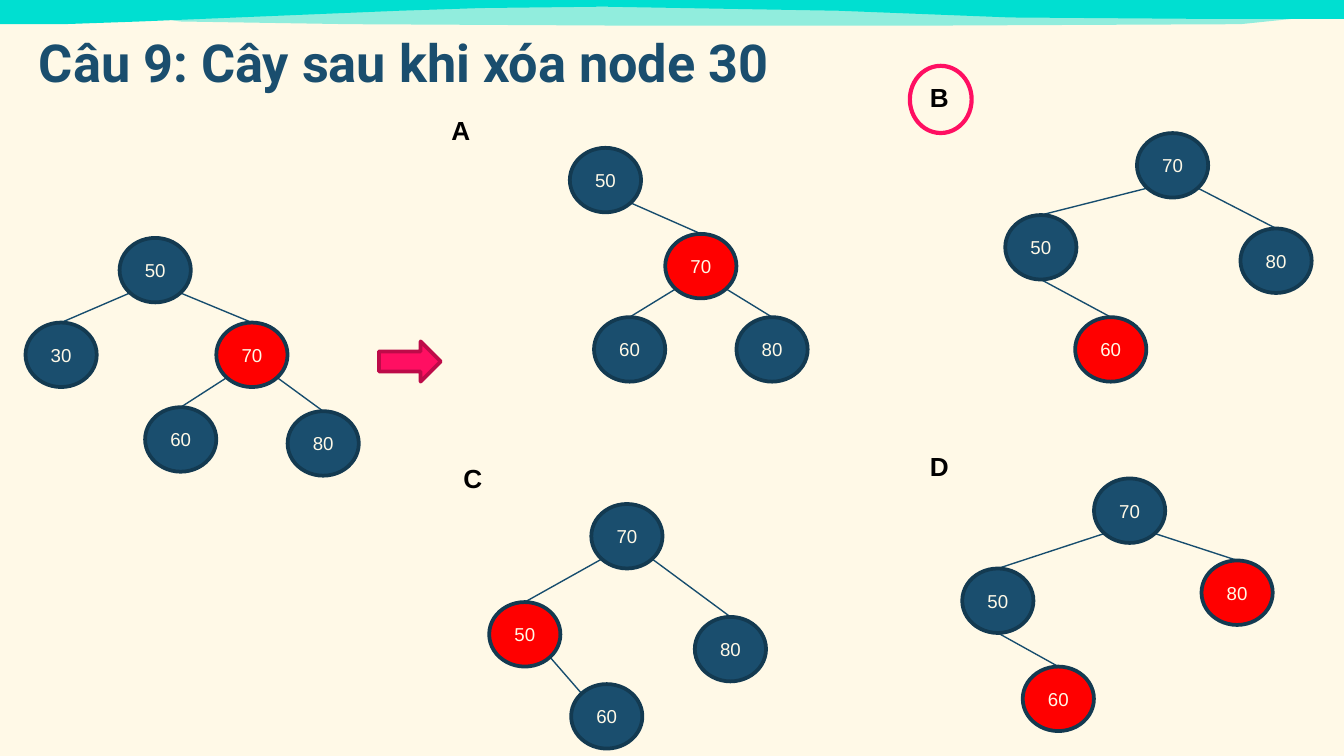
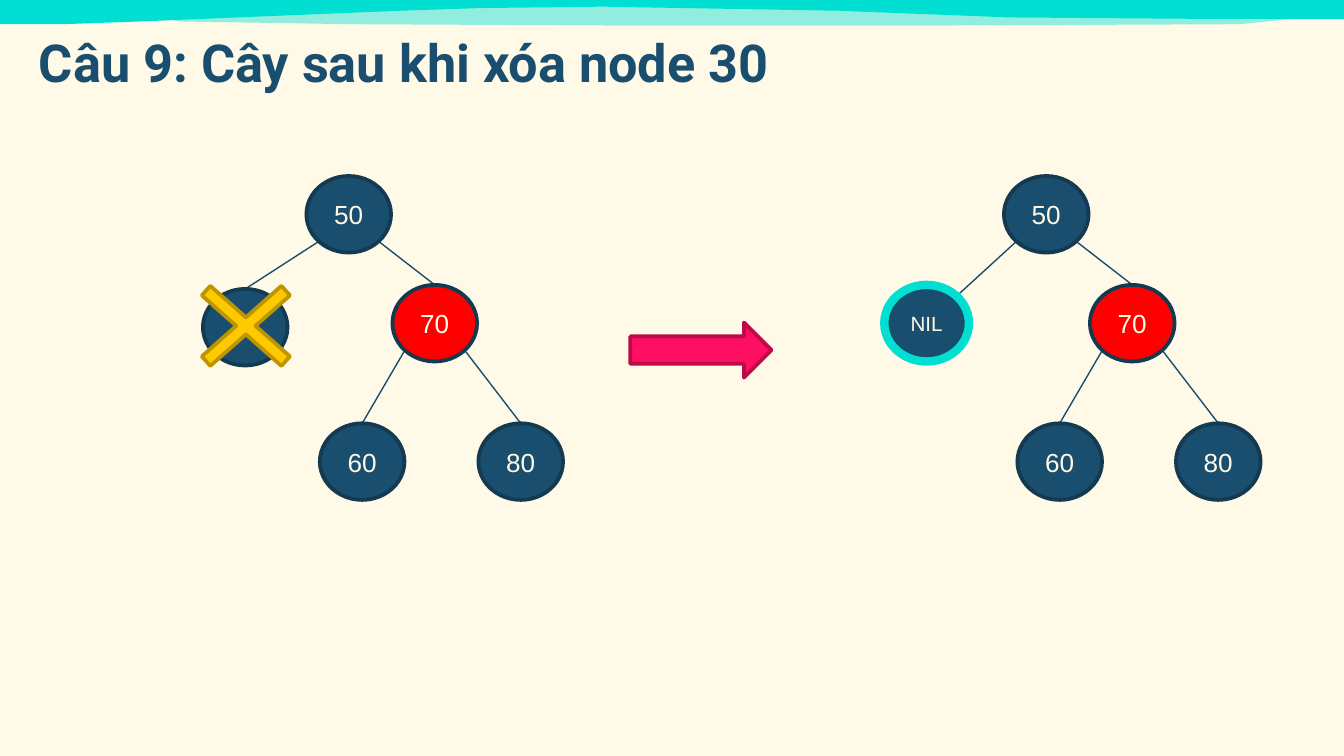
from dataclasses import dataclass
from math import sqrt

from lxml.etree import SubElement
from pptx import Presentation
from pptx.dml.color import RGBColor
from pptx.enum.shapes import MSO_CONNECTOR as Connector, MSO_SHAPE as Shape
from pptx.enum.text import MSO_ANCHOR as Anchor, MSO_AUTO_SIZE as AutoSize, PP_ALIGN as Align
from pptx.oxml.ns import qn
from pptx.util import Inches, Pt

COLORS = {
    "cream": "FFF9E7", "turquoise": "00DFD1", "navy": "1A4E6E", "outline": "133A51",
    "edge": "174D6E", "red": "FF0000", "pink": "FF0F62", "dark pink": "BD0B49",
    "yellow": "FFC900", "dark yellow": "BD9500", "black": "000000",
}
TITLE = "Câu 9: Cây sau khi xóa node 30"
WAVE = [(0, 0.18), (0.47, 0.18), (1.04, 0.16), (2.97, 0.08), (3.58, 0.06), (4.49, 0.05),
        (6.24, 0.08), (7.52, 0.13), (8.86, 0.14), (10, 0.14), (10, 0), (0, 0)]
PALE_WAVE = [(0.98, 0.04), (9.93, 0.06), (9.81, 0.12), (9.23, 0.18), (7, 0.19),
             (4.58, 0.19), (2.6, 0.18), (1.34, 0.16), (1.05, 0.11)]
DIAGONAL = sqrt(0.5)
SITES = {
    "top": (0, -1), "bottom": (0, 1), "top left": (-DIAGONAL, -DIAGONAL),
    "top right": (DIAGONAL, -DIAGONAL), "bottom left": (-DIAGONAL, DIAGONAL),
    "bottom right": (DIAGONAL, DIAGONAL),
}


@dataclass
class Node:
    """A tree node, its place and the way its edge meets its parent."""
    label: str
    left: float
    top: float
    parent: str = ""
    red: bool = False
    start: str = ""
    end: str = "top"
    line: str = "outline"
    line_width: float = 2
    size: int = 0


@dataclass
class NodeStyle:
    """The size of the nodes of a tree and of their labels."""
    width: float
    height: float
    font_size: int


SMALL = NodeStyle(0.53, 0.48, 10)
LARGE = NodeStyle(0.63, 0.57, 14)

QUESTION_TREES = [
    [Node("50", 0.89, 1.77), Node("30", 0.19, 2.4, "50"), Node("70", 1.61, 2.4, "50", True),
     Node("60", 1.08, 3.03, "70"), Node("80", 2.14, 3.06, "70")],
    [Node("50", 4.24, 1.1), Node("70", 4.95, 1.74, "50", True),
     Node("60", 4.42, 2.36, "70"), Node("80", 5.48, 2.36, "70")],
    [Node("70", 8.46, 0.99), Node("50", 7.48, 1.6, "70"), Node("80", 9.23, 1.7, "70"),
     Node("60", 8, 2.36, "50", True, start="bottom")],
    [Node("70", 4.4, 3.75), Node("50", 3.64, 4.48, "70", True), Node("80", 5.17, 4.59, "70"),
     Node("60", 4.25, 5.09, "50", end="top left")],
    [Node("70", 8.14, 3.56), Node("50", 7.16, 4.23, "70"), Node("80", 8.94, 4.17, "70", True),
     Node("60", 7.61, 4.96, "50", True, start="bottom")],
]
OPTIONS = [("A", 3.26, 0.8, 0.38), ("B", 6.82, 0.56, 0.46),
           ("C", 3.35, 3.39, 0.46), ("D", 6.82, 3.3, 0.42)]


def rgb(name):
    """Return the named colour."""
    return RGBColor.from_string(COLORS[name])


def write_text(shape, text, *, size, color, font="Arial", bold=False, align=Align.LEFT,
               anchor=Anchor.TOP, wrap=True):
    """Put one formatted paragraph into a shape."""
    frame = shape.text_frame
    frame.word_wrap = wrap
    frame.vertical_anchor = anchor
    paragraph = frame.paragraphs[0]
    paragraph.alignment = align
    run = paragraph.add_run()
    run.text = text
    run.font.size = Pt(size)
    run.font.name = font
    run.font.bold = bold
    run.font.color.rgb = rgb(color)


def add_figure(slide, kind, left, top, width, height, *, fill=None, line, line_width=2):
    """Add a preset shape with flat fill and outline."""
    shape = slide.shapes.add_shape(kind, Inches(left), Inches(top), Inches(width), Inches(height))
    shape.shadow.inherit = False
    if fill:
        shape.fill.solid()
        shape.fill.fore_color.rgb = rgb(fill)
    else:
        shape.fill.background()
    shape.line.color.rgb = rgb(line)
    shape.line.width = Pt(line_width)
    return shape


def add_edge(slide, start, end):
    """Add a thin line between two points."""
    points = [Inches(value) for value in (*start, *end)]
    edge = slide.shapes.add_connector(Connector.STRAIGHT, *points)
    edge.line.color.rgb = rgb("edge")
    edge.line.width = Pt(0.75)
    SubElement(edge.element.spPr, qn("a:effectLst"))


def site(node, style, name):
    """Return a named point on the rim of a node."""
    across, down = SITES[name]
    return (node.left + style.width * (1 + across) / 2,
            node.top + style.height * (1 + down) / 2)


def add_tree(slide, nodes, style):
    """Draw the edges of a tree, then its nodes."""
    by_label = {node.label: node for node in nodes}
    for node in nodes:
        if node.parent:
            parent = by_label[node.parent]
            side = "bottom left" if node.left < parent.left else "bottom right"
            add_edge(slide, site(node, style, node.end), site(parent, style, node.start or side))
    for node in nodes:
        shape = add_figure(slide, Shape.OVAL, node.left, node.top, style.width, style.height,
                           fill="red" if node.red else "navy", line=node.line,
                           line_width=node.line_width)
        write_text(shape, node.label, size=node.size or style.font_size, color="cream",
                   align=Align.CENTER, anchor=Anchor.MIDDLE, wrap=False)


def add_arrow(slide, left, top, width, height):
    """Add a pink block arrow."""
    add_figure(slide, Shape.RIGHT_ARROW, left, top, width, height, fill="pink", line="dark pink")


def add_wave(slide, points, opacity=100):
    """Build a turquoise wave."""
    corners = [(Inches(x), Inches(y)) for x, y in points]
    builder = slide.shapes.build_freeform(*corners[0])
    builder.add_line_segments(corners[1:])
    wave = builder.convert_to_shape()
    wave.shadow.inherit = False
    wave.fill.solid()
    wave.fill.fore_color.rgb = rgb("turquoise")
    wave.line.fill.background()
    if opacity < 100:
        color = wave.element.spPr.find(qn("a:solidFill"))[0]
        SubElement(color, qn("a:alpha")).set("val", str(opacity * 1000))
    return wave


def place_title(title):
    """Give a title its place on the slide."""
    title.left, title.top, title.width, title.height = map(Inches, (0.19, 0, 6.75, 0.79))


def prepare_layout(presentation):
    """Keep one layout that holds only a title and the background."""
    layout = presentation.slide_layouts.get_by_name("Title Only")
    for other in list(presentation.slide_layouts):
        if other.name != layout.name:
            presentation.slide_layouts.remove(other)
    for page in (presentation.slide_master, layout):
        for placeholder in list(page.placeholders):
            if placeholder.name.startswith("Title"):
                place_title(placeholder)
            else:
                page.shapes.element.remove(placeholder.element)
        page.background.fill.solid()
        page.background.fill.fore_color.rgb = rgb("cream")
    return layout


def add_slide(presentation, layout):
    """Add a slide with the shared title."""
    slide = presentation.slides.add_slide(layout)
    title = slide.shapes.title
    place_title(title)
    frame = title.text_frame
    frame.auto_size = AutoSize.NONE
    frame.margin_left = frame.margin_right = frame.margin_top = frame.margin_bottom = Inches(0.1)
    write_text(title, TITLE, size=28, color="navy", font="Roboto", bold=True, anchor=Anchor.BOTTOM)
    return slide


def fill_question(slide):
    """Show the start tree and the four options."""
    add_figure(slide, Shape.OVAL, 6.77, 0.49, 0.46, 0.5, line="pink", line_width=2.25)
    for nodes in QUESTION_TREES:
        add_tree(slide, nodes, SMALL)
    add_arrow(slide, 2.82, 2.54, 0.46, 0.3)
    for letter, left, top, width in OPTIONS:
        box = slide.shapes.add_textbox(Inches(left), Inches(top), Inches(width), Inches(0.34))
        write_text(box, letter, size=14, color="black", bold=True)


def common_nodes(shift):
    """Return the nodes that stay after the deletion."""
    return [Node("50", 2.28 + shift, 1.31), Node("70", 2.92 + shift, 2.12, "50", True),
            Node("60", 2.38 + shift, 3.15, "70"), Node("80", 3.56 + shift, 3.15, "70")]


def fill_deletion(slide):
    """Show the tree before and after the deletion."""
    add_tree(slide, common_nodes(0) + [Node("30", 1.51, 2.15, "50")], LARGE)
    cross = add_figure(slide, Shape.MATH_MULTIPLY, 1.26, 1.92, 1.14, 1.01,
                       fill="yellow", line="dark yellow")
    cross.adjustments[0] = 0.094
    nil = Node("NIL", 6.58, 2.12, "50", end="top right", line="turquoise", line_width=4.5, size=11)
    add_tree(slide, common_nodes(5.19) + [nil], LARGE)
    add_arrow(slide, 4.69, 2.4, 1.05, 0.41)


def main():
    """Build and save the presentation."""
    presentation = Presentation()
    presentation.slide_width = Inches(10)
    presentation.slide_height = Inches(10 * 9 / 16)
    layout = prepare_layout(presentation)
    question, deletion = (add_slide(presentation, layout) for _ in range(2))
    waves = [add_wave(question, WAVE), add_wave(question, PALE_WAVE, opacity=43)]
    for wave in waves:
        layout.shapes.element.append(wave.element)
    fill_question(question)
    fill_deletion(deletion)
    presentation.save("out.pptx")


main()
